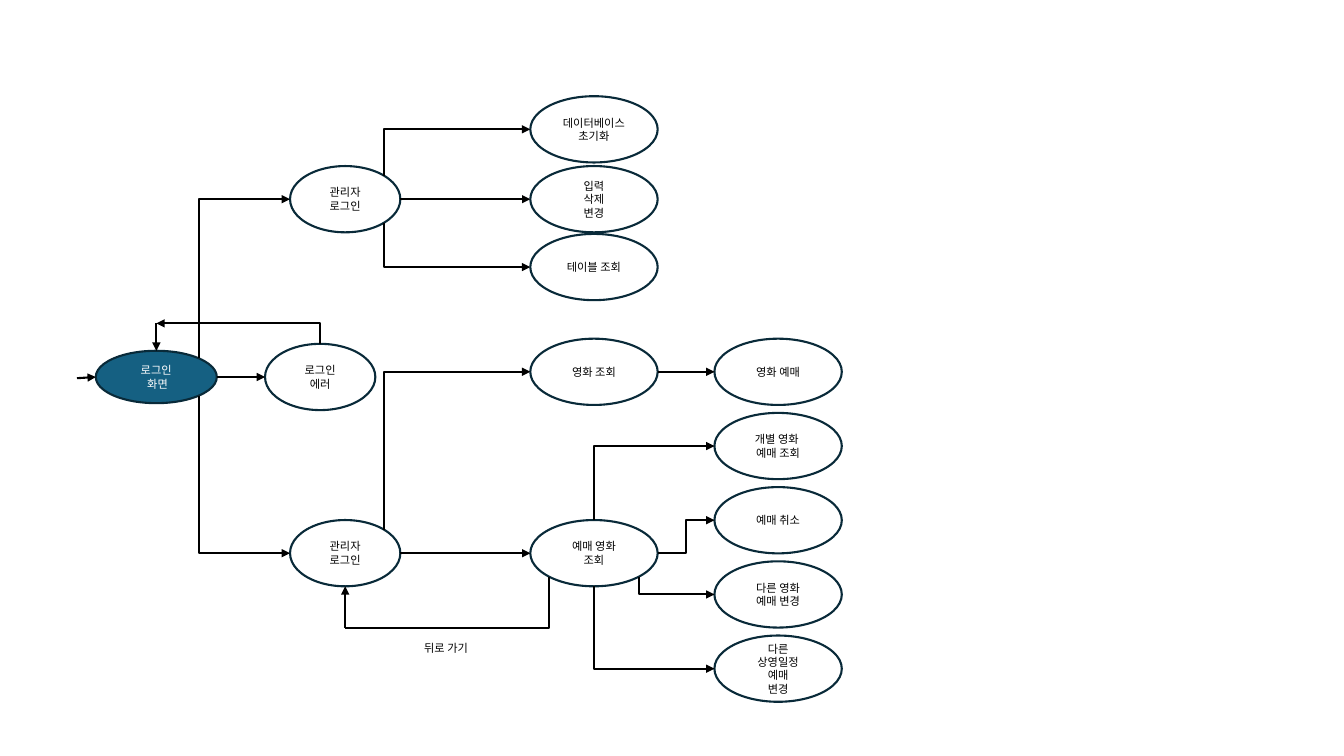
"""Builds a slide with the screen flow of a cinema booking system."""
from math import sqrt

from lxml.etree import SubElement
from pptx import Presentation
from pptx.dml.color import RGBColor
from pptx.enum.shapes import MSO_CONNECTOR as LINK, MSO_SHAPE
from pptx.enum.text import MSO_ANCHOR, MSO_AUTO_SIZE, PP_ALIGN
from pptx.oxml.ns import qn
from pptx.util import Cm, Pt

FONT = "Noto Sans CJK KR"
COLORS = {"start": "156082", "screen": "FFFFFF", "outline": "092A39",
          "arrow": "000000", "text": "000000", "start_text": "FFFFFF"}

SIZES = {"start": (3.05, 1.32), "login": (2.78, 1.67), "task": (3.21, 1.67)}
COLUMNS = {"start": 3.94, "error": 8.07, "login": 8.7, "task": 14.97, "detail": 19.61}
DETAIL_TOP, DETAIL_STEP = 9.37, 1.87
START_ROW, ADMIN_ROW, BOOKING_ROW = 9.5, 5.02, 13.94

SCREENS = {
    "start": ("start", "start", START_ROW, ["로그인", " 화면"]),
    "error": ("login", "error", START_ROW, ["로그인", "에러"]),
    "admin": ("login", "login", ADMIN_ROW, ["관리자", "로그인"]),
    "member": ("login", "login", BOOKING_ROW, ["관리자", "로그인"]),
    "reset": ("task", "task", 3.26, ["데이터베이스", "초기화"]),
    "edit": ("task", "task", ADMIN_ROW, ["입력", "삭제", "변경"]),
    "tables": ("task", "task", 6.73, ["테이블 조회"]),
    "films": ("task", "task", DETAIL_TOP, ["영화 조회"]),
    "bookings": ("task", "task", BOOKING_ROW, ["예매 영화", "조회"]),
}
DETAILS = {
    "book": ["영화 예매"],
    "one_film": ["개별 영화 ", "예매 조회"],
    "cancel": ["예매 취소"],
    "other_film": ["다른 영화", "예매 변경"],
    "other_time": ["다른", " 상영일정 ", "예매", "변경"],
}
for row, (detail, lines) in enumerate(DETAILS.items()):
    SCREENS[detail] = ("task", "detail", DETAIL_TOP + row * DETAIL_STEP, lines)

DIAGONAL = sqrt(0.5)
SIDES = {"top": (0, -1), "bottom": (0, 1), "left": (-1, 0), "right": (1, 0),
         "top right": (DIAGONAL, -DIAGONAL), "bottom right": (DIAGONAL, DIAGONAL),
         "bottom left": (-DIAGONAL, DIAGONAL)}

STRAIGHT = [("start", "error"), ("admin", "edit"), ("member", "bookings"), ("films", "book")]
BENT = [
    ("start", "top right", "admin"), ("start", "bottom right", "member"),
    ("admin", "top right", "reset"), ("admin", "bottom right", "tables"),
    ("member", "top right", "films"), ("bookings", "top", "one_film"),
    ("bookings", "bottom right", "other_film"), ("bookings", "bottom", "other_time"),
]
ENTRY = (1.94, 9.53)
RETRY_CORNER = (COLUMNS["start"], 8.15)
BACK_CORNER = (COLUMNS["login"], 15.82)
BACK_LABEL = ("뒤로 가기", 10.44, 16.03, 1.75, 0.61)

prs = Presentation()
prs.slide_width, prs.slide_height = Cm(33.87), Cm(19.05)
slide = prs.slides.add_slide(prs.slide_layouts[6])


def write(frame, lines, color="text", align=None):
    """Write the lines as paragraphs of a text frame."""
    for index, line in enumerate(lines):
        paragraph = frame.add_paragraph() if index else frame.paragraphs[0]
        paragraph.alignment = align
        run = paragraph.add_run()
        run.text = line
        run.font.size = Pt(8)
        run.font.name = FONT
        run.font.color.rgb = RGBColor.from_string(COLORS[color])
        SubElement(run.font._element, qn("a:ea"), typeface=FONT)


def add_screen(size, column, middle, lines):
    """Draw one screen as an ellipse around its column and row."""
    width, height = SIZES[size]
    screen = slide.shapes.add_shape(
        MSO_SHAPE.OVAL, Cm(COLUMNS[column] - width / 2), Cm(middle - height / 2),
        Cm(width), Cm(height))
    screen.shadow.inherit = False
    is_start = size == "start"
    screen.fill.solid()
    screen.fill.fore_color.rgb = RGBColor.from_string(COLORS["start" if is_start else "screen"])
    screen.line.color.rgb = RGBColor.from_string(COLORS["outline"])
    screen.line.width = Pt(1.5)
    screen.text_frame.word_wrap = True
    screen.text_frame.vertical_anchor = MSO_ANCHOR.MIDDLE
    write(screen.text_frame, lines, "start_text" if is_start else "text", PP_ALIGN.CENTER)


def edge(name, side):
    """Return the point on a side of a screen."""
    size, column, middle, _ = SCREENS[name]
    width, height = SIZES[size]
    across, down = SIDES[side]
    return COLUMNS[column] + across * width / 2, middle + down * height / 2


def add_arrow(begin, end, kind=LINK.STRAIGHT, head=True):
    """Draw a line between two points and return it."""
    arrow = slide.shapes.add_connector(kind, *(Cm(value) for value in (*begin, *end)))
    arrow.line.color.rgb = RGBColor.from_string(COLORS["arrow"])
    arrow.line.width = Pt(1.5)
    if head:
        SubElement(arrow.line._get_or_add_ln(), qn("a:tailEnd"), type="triangle")
    SubElement(arrow._element.spPr, qn("a:effectLst"))
    return arrow


def add_bent(begin, end, head=True):
    """Draw an arrow that leaves vertically and arrives horizontally."""
    (x1, y1), (x2, y2) = begin, end
    turn = 1 if (x2 - x1) * (y2 - y1) < 0 else -1
    half_x, half_y = turn * (y2 - y1) / 2, turn * (x1 - x2) / 2
    mid_x, mid_y = (x1 + x2) / 2, (y1 + y2) / 2
    arrow = add_arrow((mid_x - half_x, mid_y - half_y), (mid_x + half_x, mid_y + half_y),
                      LINK.ELBOW, head)
    properties = arrow._element.spPr
    properties.find(qn("a:xfrm")).set("rot", str(turn % 4 * 90 * 60000))
    properties.find(qn("a:prstGeom")).set("prst", "bentConnector2")


for screen_data in SCREENS.values():
    add_screen(*screen_data)
for source, target in STRAIGHT:
    add_arrow(edge(source, "right"), edge(target, "left"))
for source, side, target in BENT:
    add_bent(edge(source, side), edge(target, "left"))

add_arrow(ENTRY, edge("start", "left"))
add_bent(edge("error", "top"), RETRY_CORNER)
add_arrow(RETRY_CORNER, edge("start", "top"))
add_arrow(edge("bookings", "right"), edge("cancel", "left"), LINK.ELBOW)
add_bent(edge("bookings", "bottom left"), BACK_CORNER, head=False)
add_arrow(BACK_CORNER, edge("member", "bottom"))

label, *box = BACK_LABEL
back = slide.shapes.add_textbox(*(Cm(value) for value in box)).text_frame
back.word_wrap = False
back.auto_size = MSO_AUTO_SIZE.SHAPE_TO_FIT_TEXT
write(back, [label])

prs.save("out.pptx")
